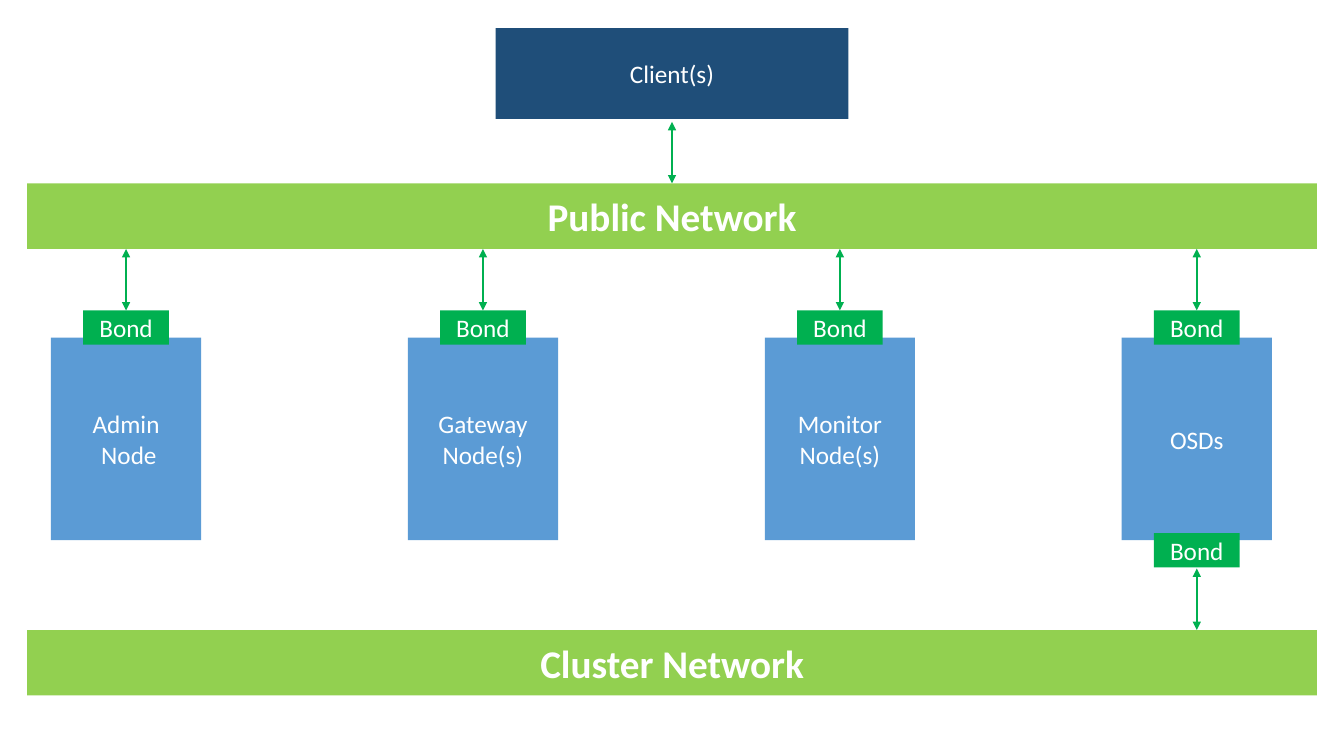
from lxml.etree import SubElement
from pptx import Presentation
from pptx.dml.color import RGBColor
from pptx.enum.shapes import MSO_CONNECTOR, MSO_SHAPE
from pptx.enum.text import MSO_ANCHOR, PP_ALIGN
from pptx.oxml.ns import qn
from pptx.util import Inches, Pt

NODES = ["Admin\v Node", "Gateway Node(s)", "Monitor Node(s)", "OSDs"]
NAVY, LIME, BLUE, GREEN, WHITE = "1F4E79", "92D050", "5B9BD5", "00B050", "FFFFFF"

SLIDE_WIDTH, SLIDE_HEIGHT = 13.33, 7.5
CLIENT_TOP, CLIENT_WIDTH, CLIENT_HEIGHT = 0.28, 3.5, 0.9
NETWORK_WIDTH, NETWORK_HEIGHT = 12.79, 0.65
PUBLIC_TOP, CLUSTER_TOP = 1.82, 6.25
NODE_TOP, NODE_WIDTH, NODE_HEIGHT = 3.35, 1.49, 2.01
FIRST_NODE_CENTER, NODE_PITCH = 1.25, 3.54
BOND_WIDTH, BOND_HEIGHT = 0.85, 0.34
BOND_OVERLAP = 0.07
ARROW_LENGTH = 0.61


def color(value):
    """Turn a hex string into a colour."""
    return RGBColor.from_string(value)


def add_box(slide, text, center, top, width, height, fill, size=18, bold=False):
    """Add a filled rectangle with white text, centred on a horizontal position."""
    shape = slide.shapes.add_shape(
        MSO_SHAPE.RECTANGLE, Inches(center - width / 2), Inches(top),
        Inches(width), Inches(height))
    shape.shadow.inherit = False
    shape.fill.solid()
    shape.fill.fore_color.rgb = color(fill)
    shape.line.fill.background()
    frame = shape.text_frame
    frame.text = text
    frame.word_wrap = True
    frame.vertical_anchor = MSO_ANCHOR.MIDDLE
    paragraph = frame.paragraphs[0]
    paragraph.alignment = PP_ALIGN.CENTER
    paragraph.font.name = "Calibri"
    paragraph.font.size = Pt(size)
    paragraph.font.bold = bold
    paragraph.font.color.rgb = color(WHITE)


def add_network(slide, name, top):
    """Add a full-width network bar."""
    add_box(slide, name, SLIDE_WIDTH / 2, top, NETWORK_WIDTH, NETWORK_HEIGHT,
            LIME, size=28, bold=True)


def add_bond(slide, center, top):
    """Add a bond label on the edge of a node."""
    add_box(slide, "Bond", center, top, BOND_WIDTH, BOND_HEIGHT, GREEN)


def add_arrow(slide, center, bottom):
    """Add a vertical double-headed arrow that ends at bottom."""
    connector = slide.shapes.add_connector(
        MSO_CONNECTOR.STRAIGHT, Inches(center), Inches(bottom - ARROW_LENGTH),
        Inches(center), Inches(bottom))
    connector.line.color.rgb = color(GREEN)
    connector.line.width = Pt(1.75)
    line = connector.line._get_or_add_ln()
    for end in ("a:headEnd", "a:tailEnd"):
        SubElement(line, qn(end), type="triangle")
    SubElement(connector._element.spPr, qn("a:effectLst"))


presentation = Presentation()
presentation.slide_width = Inches(SLIDE_WIDTH)
presentation.slide_height = Inches(SLIDE_HEIGHT)
slide = presentation.slides.add_slide(presentation.slide_layouts[6])

add_box(slide, "Client(s)", SLIDE_WIDTH / 2, CLIENT_TOP, CLIENT_WIDTH,
        CLIENT_HEIGHT, NAVY)
add_arrow(slide, SLIDE_WIDTH / 2, PUBLIC_TOP)
add_network(slide, "Public Network", PUBLIC_TOP)

bond_top = NODE_TOP + BOND_OVERLAP - BOND_HEIGHT
for index, node in enumerate(NODES):
    center = FIRST_NODE_CENTER + index * NODE_PITCH
    add_box(slide, node, center, NODE_TOP, NODE_WIDTH, NODE_HEIGHT, BLUE)
    add_bond(slide, center, bond_top)
    add_arrow(slide, center, bond_top)

osd_center = FIRST_NODE_CENTER + (len(NODES) - 1) * NODE_PITCH
add_bond(slide, osd_center, NODE_TOP + NODE_HEIGHT - BOND_OVERLAP)
add_arrow(slide, osd_center, CLUSTER_TOP)
add_network(slide, "Cluster Network", CLUSTER_TOP)

presentation.save("out.pptx")
